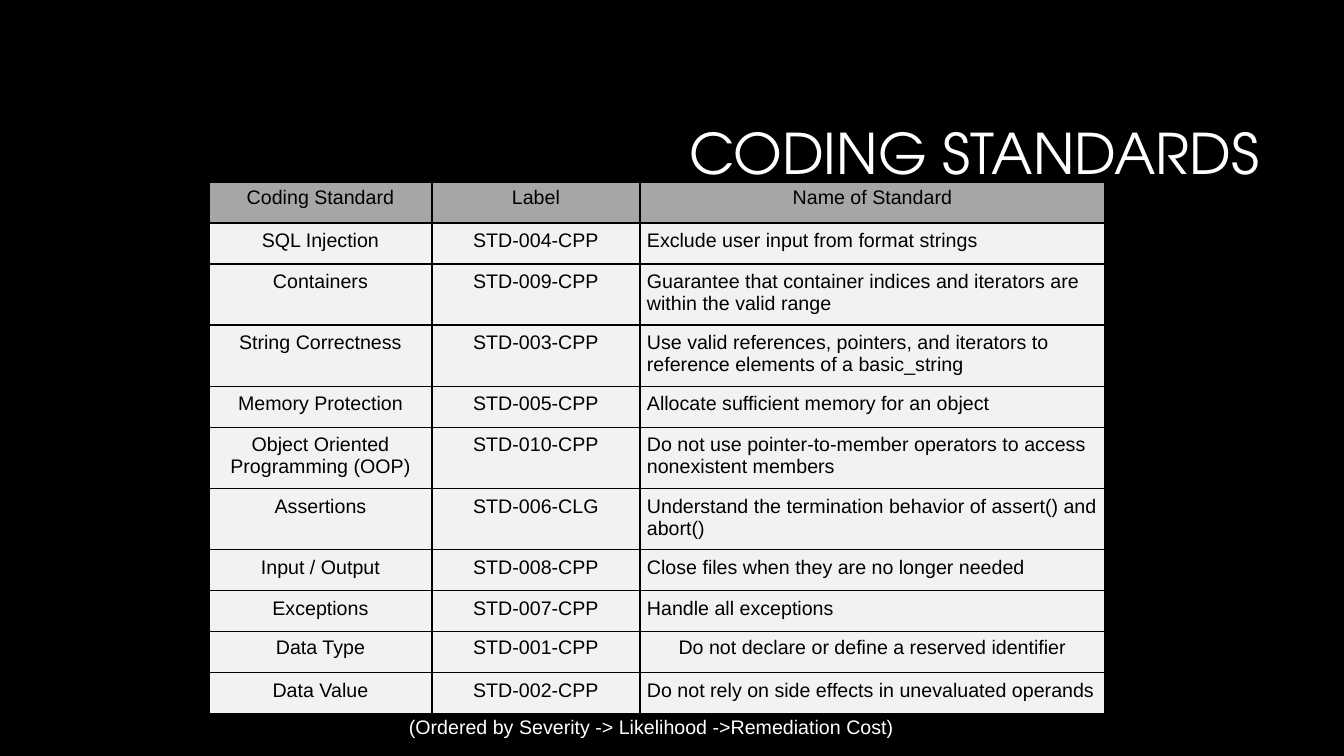
from dataclasses import dataclass

from lxml import etree
from pptx import Presentation
from pptx import util as u
from pptx.dml.color import RGBColor
from pptx.enum import text
from pptx.oxml.ns import qn

SCALE = 914400 / 100.8
ALIGN = text.PP_ALIGN


@dataclass(frozen=True)
class Theme:
    black: str = "000000"
    white: str = "FFFFFF"
    head: str = "A6A6A6"
    body: str = "F2F2F2"
    title_font: str = "TeX Gyre Adventor"
    font: str = "Arial"
    title_size: int = 40
    size: int = 14
    line: int = 1


THEME = Theme()

HEADS = ("Coding Standard", "Label", "Name of Standard")
RULES = (
    ("SQL Injection", "STD-004-CPP", "Exclude user input from format strings"),
    ("Containers", "STD-009-CPP",
     "Guarantee that container indices and iterators are within the valid range"),
    ("String Correctness", "STD-003-CPP",
     "Use valid references, pointers, and iterators to reference elements of a basic_string"),
    ("Memory Protection", "STD-005-CPP", "Allocate sufficient memory for an object"),
    ("Object Oriented Programming (OOP)", "STD-010-CPP",
     "Do not use pointer-to-member operators to access nonexistent members"),
    ("Assertions", "STD-006-CLG",
     "Understand the termination behavior of assert() and abort()"),
    ("Input / Output", "STD-008-CPP", "Close files when they are no longer needed"),
    ("Exceptions", "STD-007-CPP", "Handle all exceptions"),
    ("Data Type", "STD-001-CPP", "Do not declare or define a reserved identifier"),
    ("Data Value", "STD-002-CPP", "Do not rely on side effects in unevaluated operands"),
)
CENTERED = (0, 9)  # rows centred throughout, with default margins


def px(n):
    return u.Emu(round(n * SCALE))


def color(code):
    return RGBColor.from_string(code)


def write(frame, words, size, font, ink, align):
    para = frame.paragraphs[0]
    para.text = words
    para.alignment = align
    para.font.size = u.Pt(size)
    para.font.name = font
    para.font.color.rgb = color(ink)
    return para


def add_title(slide, box):
    frame = slide.shapes.add_textbox(*map(px, box)).text_frame
    frame.word_wrap = True
    frame.vertical_anchor = text.MSO_ANCHOR.MIDDLE
    para = write(frame, "CODING STANDARDS", THEME.title_size,
                 THEME.title_font, THEME.white, ALIGN.RIGHT)
    para.line_spacing = 0.9


def add_note(slide, box):
    frame = slide.shapes.add_textbox(*map(px, box)).text_frame
    frame.word_wrap = True
    frame.auto_size = text.MSO_AUTO_SIZE.SHAPE_TO_FIT_TEXT
    write(frame, "(Ordered by Severity -> Likelihood ->Remediation Cost)",
          THEME.size, THEME.font, THEME.white, ALIGN.LEFT)


def add_edges(cell):
    props = cell._tc.get_or_add_tcPr()
    for side in ("lnL", "lnR", "lnT", "lnB"):
        line = etree.SubElement(props, qn("a:" + side), w=str(u.Pt(THEME.line)))
        fill = etree.SubElement(line, qn("a:solidFill"))
        etree.SubElement(fill, qn("a:srgbClr"), val=THEME.black)


def style_cell(cell, words, shade, align, tight):
    """Fill one cell; a tight cell has equal margins on all sides."""
    if tight:
        cell.margin_left = cell.margin_right = px(7)
        cell.margin_top = cell.margin_bottom = px(7)
    add_edges(cell)
    cell.fill.solid()
    cell.fill.fore_color.rgb = color(shade)
    write(cell.text_frame, words, THEME.size, THEME.font, THEME.black, align)


def add_rules(slide, box, widths, high):
    rows = (HEADS,) + RULES
    grid = slide.shapes.add_table(len(rows), len(HEADS), *map(px, box)).table
    grid.first_row = grid.horz_banding = False
    for col, width in zip(grid.columns, widths):
        col.width = px(width)
    for i, row in enumerate(rows):
        grid.rows[i].height = px(high)
        shade = THEME.body if i else THEME.head
        for j, words in enumerate(row):
            mid = j < 2 or i in CENTERED
            style_cell(grid.cell(i, j), words, shade,
                       ALIGN.CENTER if mid else ALIGN.LEFT, i not in CENTERED)


def main():
    deck = Presentation()
    deck.slide_width, deck.slide_height = px(1344), px(756)
    slide = deck.slides.add_slide(deck.slide_layouts[6])
    slide.background.fill.solid()
    slide.background.fill.fore_color.rgb = color(THEME.black)
    add_title(slide, (319, 85, 950, 142))
    add_rules(slide, (209, 182, 896, 451), (223, 208, 465), 41)
    add_note(slide, (399, 710, 514, 34))
    deck.save("out.pptx")


if __name__ == "__main__":
    main()
